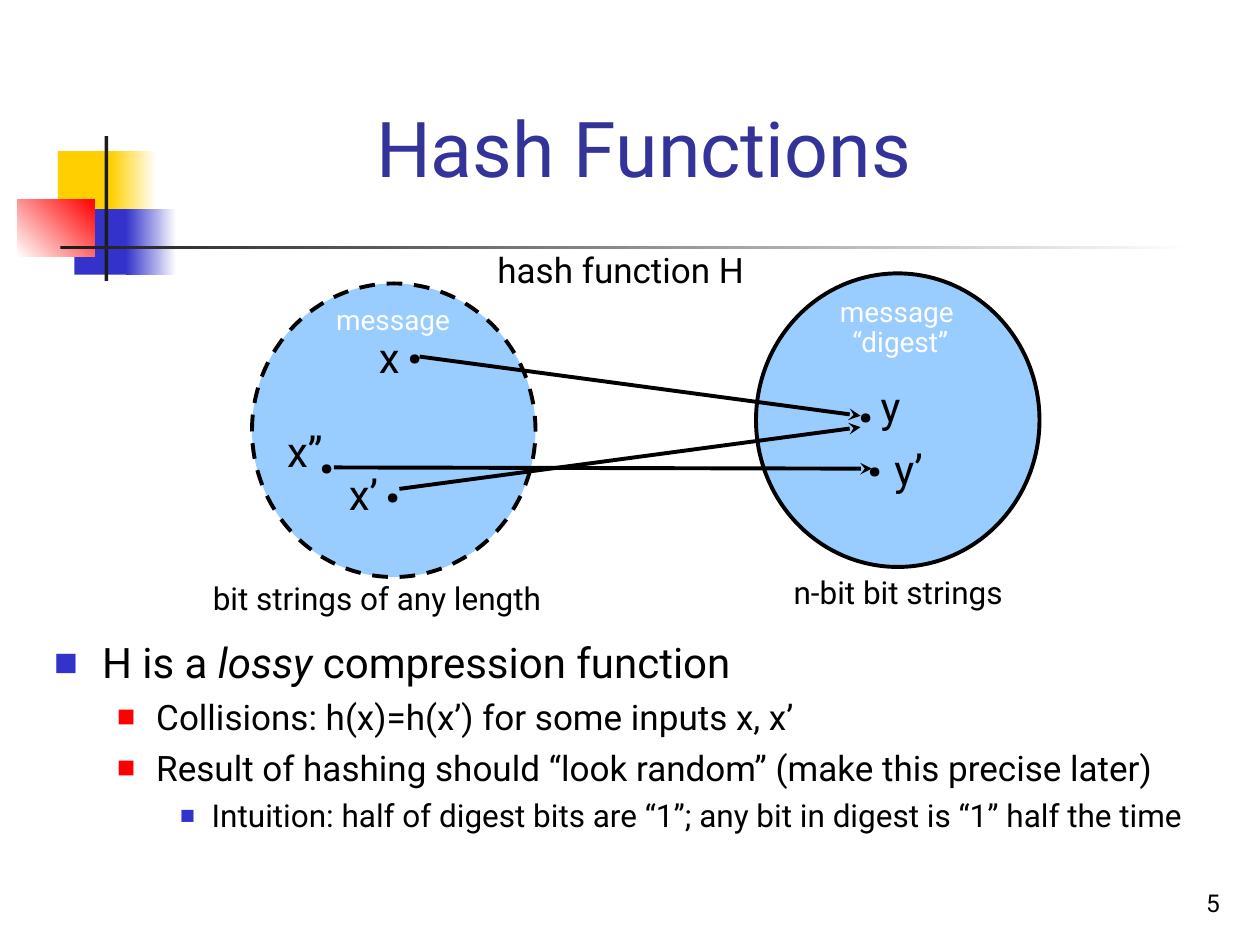
from lxml import etree
from pptx import Presentation
from pptx.dml.color import RGBColor
from pptx.enum import dml, shapes, text
from pptx.oxml import ns
from pptx.util import Inches, Pt

HUES = {
    "gold": "FFCF01", "blue": "3333CC", "red": "FF0000", "dark": "1C1C1C",
    "navy": "333399", "sky": "99CCFF", "black": "000000", "white": "FFFFFF",
}
RGB = {name: RGBColor.from_string(code) for name, code in HUES.items()}
FONT = "Roboto"
LEFT, MID, RIGHT = text.PP_ALIGN.LEFT, text.PP_ALIGN.CENTER, text.PP_ALIGN.RIGHT


def add_run(par, words, size, hue="black", italic=False):
    run = par.add_run()
    run.text = words
    run.font.name = FONT
    run.font.size = Pt(size)
    run.font.italic = italic
    run.font.color.rgb = RGB[hue]


def add_label(x, y, w, h, lines, size, hue="black", align=LEFT, space=None):
    """Add an unwrapped text box, one paragraph per line."""
    box = slide.shapes.add_textbox(Inches(x), Inches(y), Inches(w), Inches(h))
    frame = box.text_frame
    frame.word_wrap = False
    frame.auto_size = text.MSO_AUTO_SIZE.SHAPE_TO_FIT_TEXT
    for i, line in enumerate(lines):
        par = frame.add_paragraph() if i else frame.paragraphs[0]
        par.alignment = align
        par.space_before = Pt(size / 4)
        if space:
            par.line_spacing = space
        add_run(par, line, size, hue)
    return frame


prs = Presentation()
prs.slide_width, prs.slide_height = Inches(10), Inches(7.5)
slide = prs.slides.add_slide(prs.slide_layouts[1])
title, body = slide.placeholders

# Corner ornament: start colour, end colour, gradient angle
for x, y, w, h, start, end, angle in [
    (0.46, 1.2, 0.48, 0.52, "gold", None, 0),
    (0.88, 1.2, 0.36, 0.52, "gold", "white", 0),
    (0.59, 1.66, 0.46, 0.52, "blue", None, 0),
    (1, 1.66, 0.4, 0.52, "blue", "white", 0),
    (0.14, 1.58, 0.61, 0.46, "white", "red", 45),
    (0.83, 1.08, 0.03, 1.15, "dark", None, 0),
    (0.48, 1.95, 9, 0.03, "dark", "white", 0),
]:
    block = slide.shapes.add_shape(
        shapes.MSO_SHAPE.RECTANGLE, Inches(x), Inches(y), Inches(w), Inches(h))
    block.shadow.inherit = False
    block.line.fill.background()
    if end:
        block.fill.gradient()
        block.fill.gradient_angle = angle
        for stop, hue in zip(block.fill.gradient_stops, (start, end)):
            stop.color.rgb = RGB[hue]
    else:
        block.fill.solid()
        block.fill.fore_color.rgb = RGB[start]

# Title and page number
title.left, title.top = Inches(0.5), Inches(0.58)
title.width, title.height = Inches(9.22), Inches(1)
frame = title.text_frame
frame.auto_size = text.MSO_AUTO_SIZE.NONE
frame.vertical_anchor = text.MSO_ANCHOR.BOTTOM
frame.paragraphs[0].alignment = MID
add_run(frame.paragraphs[0], "Hash Functions", 44, "navy")

page = add_label(7.7, 6.83, 2.08, 0.5, ["5"], 14, align=RIGHT)
page.word_wrap = True
page.auto_size = text.MSO_AUTO_SIZE.NONE
page.vertical_anchor = text.MSO_ANCHOR.BOTTOM

# Input and output sets
for x, y, dash in [(2, 2.25, dml.MSO_LINE.DASH), (6, 2.17, None)]:
    ring = slide.shapes.add_shape(
        shapes.MSO_SHAPE.OVAL, Inches(x), Inches(y), Inches(2.25), Inches(2.33))
    ring.shadow.inherit = False
    ring.fill.solid()
    ring.fill.fore_color.rgb = RGB["sky"]
    ring.line.color.rgb = RGB["black"]
    ring.line.width = Pt(2.25)
    ring.line.dash_style = dash

add_label(1.59, 4.55, 2.99, 0.4, ["bit strings of any length"], 18)
add_label(6.2, 4.5, 1.99, 0.4, ["n-bit bit strings"], 18)
add_label(3.85, 1.92, 2.27, 0.44, ["hash function H"], 20)

# Points of the sets, each a large full stop
for x, y in [(2.41, 3.04), (2.94, 3.27), (3.11, 2.17), (6.69, 2.64), (6.76, 3.07)]:
    add_label(x, y, 0.38, 0.9, ["."], 48)

# Mappings
for x1, y1, x2, y2 in [
    (3.33, 2.83, 6.83, 3.3), (2.65, 3.71, 6.92, 3.72), (3.17, 3.88, 6.83, 3.39),
]:
    arrow = slide.shapes.add_connector(
        shapes.MSO_CONNECTOR.STRAIGHT, Inches(x1), Inches(y1), Inches(x2), Inches(y2))
    arrow.line.color.rgb = RGB["black"]
    arrow.line.width = Pt(2.25)
    etree.SubElement(arrow.line._get_or_add_ln(), ns.qn("a:tailEnd"), type="stealth")
    etree.SubElement(arrow._element.spPr, ns.qn("a:effectLst"))

for x, y, w, name in [
    (2.67, 3.67, 0.43, "x’"), (2.18, 3.33, 0.49, "x’’"), (2.91, 2.58, 0.37, "x"),
    (7, 3.47, 0.43, "y’"), (6.89, 2.97, 0.37, "y"),
]:
    add_label(x, y, w, 0.5, [name], 24)

add_label(6.55, 2.36, 1.19, 0.53, ["message ", "“digest”"], 16, "white", MID, 0.7)
add_label(2.57, 2.35, 1.13, 0.37, ["message"], 16, "white")

# Bullet list: size, indent, hang, bullet colour, bullet percent by level
LEVELS = [
    (24, 0.38, 0.38, "blue", 60),
    (20, 0.81, 0.31, "red", 55),
    (18, 1.25, 0.25, "blue", 50),
]
body.left, body.top = Inches(0.33), Inches(5)
body.width, body.height = Inches(9.39), Inches(2.25)
frame = body.text_frame
frame.auto_size = text.MSO_AUTO_SIZE.NONE
for i, (level, parts) in enumerate([
    (0, ["H is a ", "lossy", " compression function"]),
    (1, ["Collisions: h(x)=h(x’) for some inputs x, x’"]),
    (1, ["Result of hashing should “look random” (make this precise later)"]),
    (2, ["Intuition: half of digest bits are “1”; any bit in digest is “1” half the time"]),
]):
    size, indent, hang, hue, scale = LEVELS[level]
    par = frame.add_paragraph() if i else frame.paragraphs[0]
    par.level = level
    par.space_before = Pt(size / 4)
    props = par._p.get_or_add_pPr()
    props.set("marL", str(Inches(indent)))
    props.set("indent", str(-Inches(hang)))
    tint = etree.SubElement(props, ns.qn("a:buClr"))
    etree.SubElement(tint, ns.qn("a:srgbClr"), val=HUES[hue])
    etree.SubElement(props, ns.qn("a:buSzPct"), val=str(scale * 1000))
    etree.SubElement(props, ns.qn("a:buFont"), typeface=FONT)
    etree.SubElement(props, ns.qn("a:buChar"), char="■")
    for part in parts:
        add_run(par, part, size, italic=part == "lossy")

prs.save("out.pptx")
